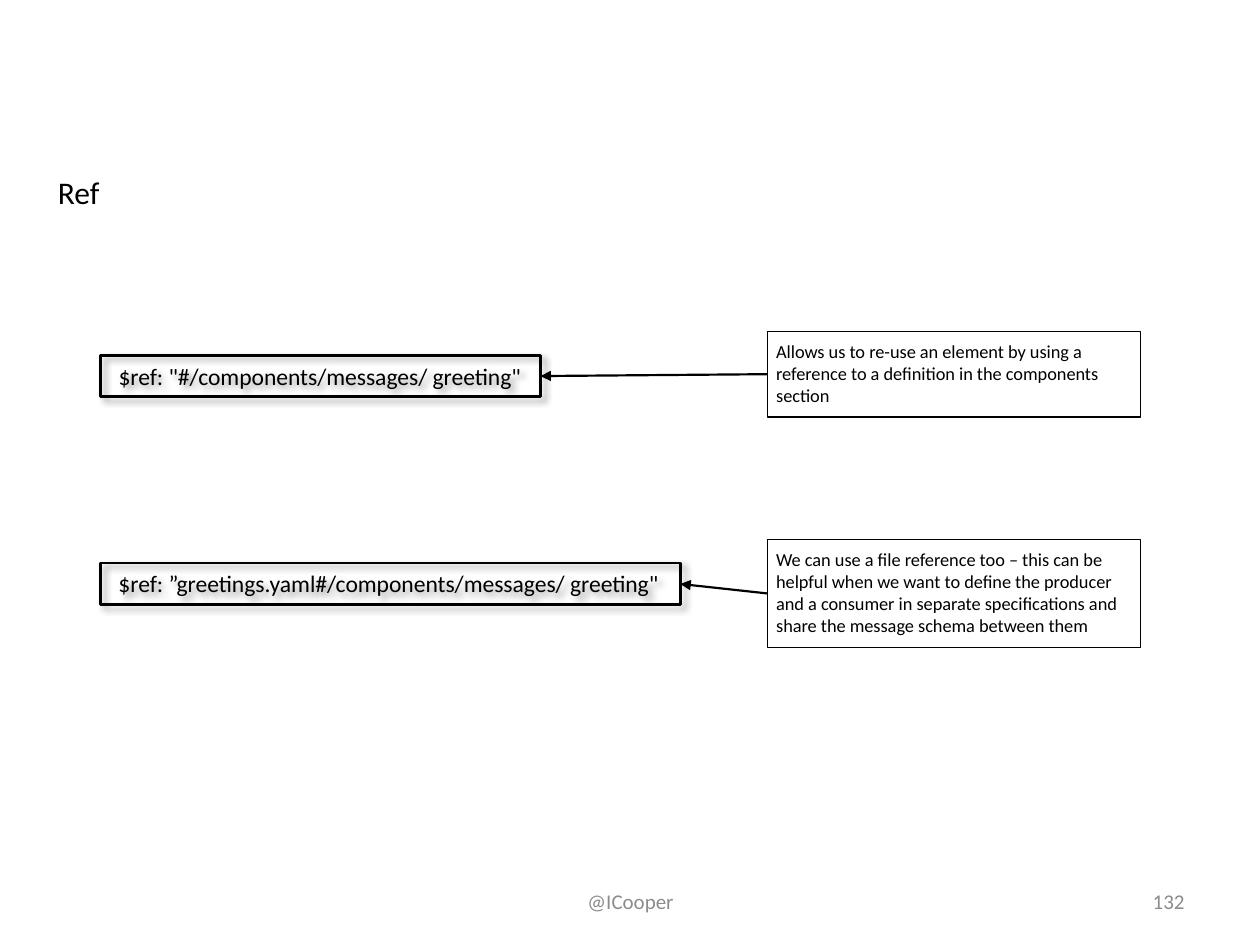
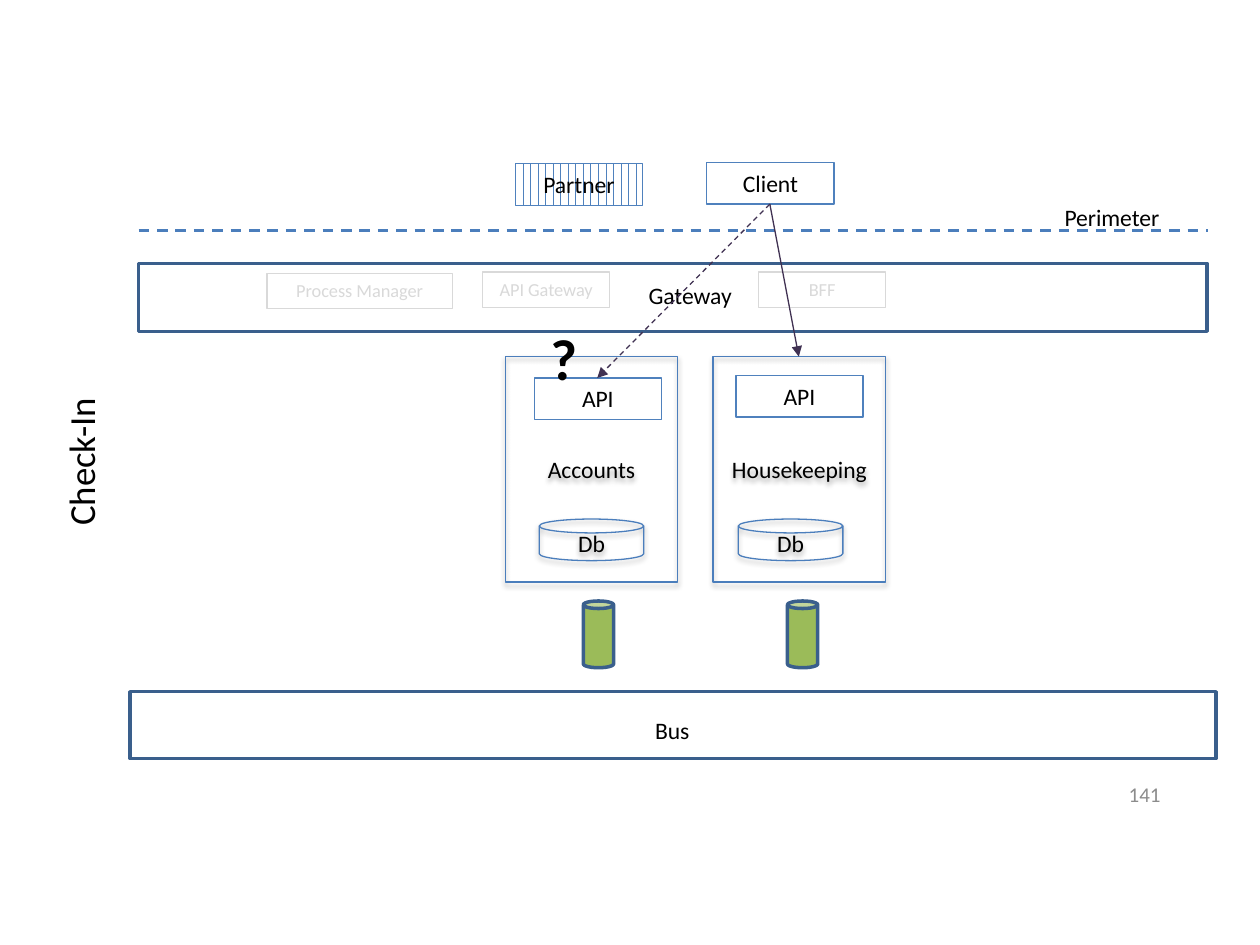
from lxml import etree
from pptx import Presentation
from pptx.dml.color import RGBColor
from pptx.enum.dml import MSO_LINE, MSO_PATTERN
from pptx.enum.shapes import MSO_CONNECTOR, MSO_SHAPE
from pptx.enum.text import MSO_ANCHOR, PP_ALIGN
from pptx.oxml.ns import qn
from pptx.util import Inches, Pt

RECT, CAN, DISK = MSO_SHAPE.RECTANGLE, MSO_SHAPE.CAN, MSO_SHAPE.FLOWCHART_MAGNETIC_DISK
LEFT, CENTER, RIGHT = PP_ALIGN.LEFT, PP_ALIGN.CENTER, PP_ALIGN.RIGHT
TOP, MIDDLE = MSO_ANCHOR.TOP, MSO_ANCHOR.MIDDLE
DASH, STRIPES = MSO_LINE.DASH, MSO_PATTERN.DASHED_VERTICAL
STRAIGHT = MSO_CONNECTOR.STRAIGHT

# Shared look
FONT = "Calibri"
BLACK, WHITE, GREY, FADED = "000000", "FFFFFF", "8C8C8C", "D9D9D9"
BLUE, EDGE_BLUE, DARK_BLUE = "4F81BD", "4B7EBC", "3A5F8C"
GREEN, PURPLE = "9BBB59", "403152"
LABEL_SIZE, NOTE_SIZE, FOOTER_SIZE = 13.5, 10.5, 12
NARROW = 0.07
# Shadows: opacity %, blur pt, distance pt, angle
CODE_SHADOW = (40, 4, 3, 45)
CARD_SHADOW = (35, 3.1, 1.8, 90)


def color(hex_value):
    return RGBColor.from_string(hex_value)


def write(shape, text, size=LABEL_SIZE, ink=BLACK, align=LEFT, anchor=TOP,
          bold=False, wrap=True, inset=None):
    frame = shape.text_frame
    frame.word_wrap = wrap
    frame.vertical_anchor = anchor
    if inset is not None:
        frame.margin_left = frame.margin_right = Inches(inset)
        frame.margin_top = frame.margin_bottom = Inches(inset)
    para = frame.paragraphs[0]
    para.alignment = align
    span = para.add_run()
    span.text = text
    span.font.name, span.font.size, span.font.bold = FONT, Pt(size), bold
    span.font.color.rgb = color(ink)


def add_text(page, box, text, rotation=0, **style):
    label = page.shapes.add_textbox(*map(Inches, box))
    label.rotation = rotation
    write(label, text, **style)


def add_shadow(shape, opacity, blur, distance, angle):
    effects = shape._element.spPr.find(qn("a:effectLst"))
    shadow = etree.SubElement(
        effects, qn("a:outerShdw"), blurRad=str(Pt(blur)), dist=str(Pt(distance)),
        dir=str(angle * 60000), algn="tl", rotWithShape="0")
    tint = etree.SubElement(shadow, qn("a:srgbClr"), val=BLACK)
    etree.SubElement(tint, qn("a:alpha"), val=str(opacity * 1000))


def add_box(page, box, text=None, kind=RECT, line=BLUE, width=0.75, fill=None,
            striped=False, shadow=None, **style):
    shape = page.shapes.add_shape(kind, *map(Inches, box))
    shape.shadow.inherit = False
    if striped:
        shape.fill.patterned()
        shape.fill.pattern = STRIPES
        shape.fill.fore_color.rgb = color(BLUE)
        shape.fill.back_color.rgb = color(WHITE)
    elif fill:
        shape.fill.solid()
        shape.fill.fore_color.rgb = color(fill)
    else:
        shape.fill.background()
    shape.line.color.rgb = color(line)
    shape.line.width = Pt(width)
    if shadow:
        add_shadow(shape, *shadow)
    if text:
        write(shape, text, **style)


def add_line(page, start, end, ink, width, dashed=False, arrow=True):
    link = page.shapes.add_connector(STRAIGHT, *map(Inches, (*start, *end)))
    link.line.color.rgb = color(ink)
    link.line.width = Pt(width)
    if dashed:
        link.line.dash_style = DASH
    properties = link._element.spPr
    if arrow:
        etree.SubElement(properties.find(qn("a:ln")), qn("a:tailEnd"), type="triangle")
    etree.SubElement(properties, qn("a:effectLst"))


def add_footer(page, box, text, align=RIGHT):
    add_text(page, box, text, size=FOOTER_SIZE, ink=GREY, align=align, anchor=MIDDLE)


def add_reference(page, top, code, code_width, note, note_height):
    """A code line with the note that points at it."""
    code_left, note_left, note_width = 0.8, 6.09, 2.96
    code_top, code_height = top + 0.19, 0.33
    add_box(page, (code_left, code_top, code_width, code_height), code, line=BLACK,
            width=1.5, shadow=CODE_SHADOW, wrap=False)
    add_box(page, (note_left, top, note_width, note_height), note, line=BLACK,
            size=NOTE_SIZE, inset=NARROW)
    add_line(page, (note_left, top + note_height / 2),
             (code_left + code_width, code_top + code_height / 2), BLACK, 1.25)


def add_service(page, left, name, api_offset, disk_offset, queue_offset):
    """A service card with its API, database and queue."""
    top = 2.83
    add_box(page, (left, top, 1.37, 1.79), name, line=EDGE_BLUE, shadow=CARD_SHADOW,
            align=CENTER, anchor=MIDDLE, inset=0.05)
    api_left, api_top = left + api_offset[0], top + api_offset[1]
    add_box(page, (api_left, api_top, 1.01, 0.33), "API", align=CENTER)
    add_box(page, (left + disk_offset, top + 1.29, 0.83, 0.33), "Db", kind=DISK,
            line=EDGE_BLUE, shadow=CARD_SHADOW, align=CENTER, anchor=MIDDLE)
    add_box(page, (left + queue_offset, top + 1.94, 0.24, 0.53), kind=CAN,
            fill=GREEN, line=DARK_BLUE, width=2)


def add_band(page, box, name, name_box):
    add_box(page, box, line=DARK_BLUE, width=2)
    add_text(page, name_box, name, wrap=False)


def build_ref_slide(page):
    add_text(page, (0.39, 1.3, 6.49, 0.45), "Ref", size=18, inset=NARROW)
    add_reference(
        page, 2.63, ' $ref: "#/components/messages/ greeting"', 3.49,
        "Allows us to re-use an element by using a reference to a definition "
        "in the components section", 0.68)
    add_reference(
        page, 4.28, ' $ref: ”greetings.yaml#/components/messages/ greeting"', 4.6,
        "We can use a file reference too – this can be helpful when we want to define "
        "the producer and a consumer in separate specifications and share the message "
        "schema between them", 0.86)
    add_footer(page, (3.42, 6.95, 3.17, 0.4), "@ICooper", align=CENTER)
    add_footer(page, (7.17, 6.95, 2.33, 0.4), "132")


def build_check_in_slide(page):
    add_text(page, (-0.89, 3.44, 3.06, 0.45), "Check-In", rotation=270, size=21,
             align=CENTER)

    # Bands and the services between them
    add_band(page, (1.03, 5.49, 8.62, 0.53), "Bus", (5.1, 5.63, 0.48, 0.33))
    add_band(page, (1.1, 2.09, 8.48, 0.54), "Gateway", (5.05, 2.18, 0.87, 0.33))
    add_service(page, 4.01, "Accounts", (0.23, 0.17), 0.27, 0.62)
    add_service(page, 5.66, "Housekeeping", (0.18, 0.15), 0.2, 0.59)

    # Callers outside the perimeter
    add_box(page, (5.61, 1.29, 1.01, 0.33), "Client", align=CENTER)
    add_box(page, (4.09, 1.3, 1.01, 0.33), "Partner", striped=True, align=CENTER)
    add_line(page, (1.1, 1.83), (9.59, 1.83), EDGE_BLUE, 1.5, dashed=True, arrow=False)
    add_text(page, (8.24, 1.56, 1.17, 0.33), "Perimeter", align=CENTER)

    # Faded gateway options
    for name, left, top, width in (("API Gateway", 3.83, 2.16, 1.01),
                                   ("BFF", 6.02, 2.16, 1.01),
                                   ("Process Manager", 2.12, 2.17, 1.47)):
        add_box(page, (left, top, width, 0.28), name, line=FADED, ink=FADED,
                size=NOTE_SIZE, align=CENTER)

    # Calls from the client
    client_exit = (6.11, 1.62)
    add_line(page, client_exit, (6.34, 2.83), PURPLE, 0.75)
    add_line(page, client_exit, (4.74, 3), PURPLE, 0.75, dashed=True)
    add_text(page, (4.27, 2.51, 0.3, 0.66), "?", size=33, bold=True)
    add_footer(page, (7.06, 6.15, 2.25, 0.3), "141")


def main():
    deck = Presentation()
    deck.slide_width, deck.slide_height = Inches(10), Inches(7.5)
    blank = deck.slide_layouts[6]
    for build in (build_ref_slide, build_check_in_slide):
        build(deck.slides.add_slide(blank))
    deck.save("out.pptx")


if __name__ == "__main__":
    main()
